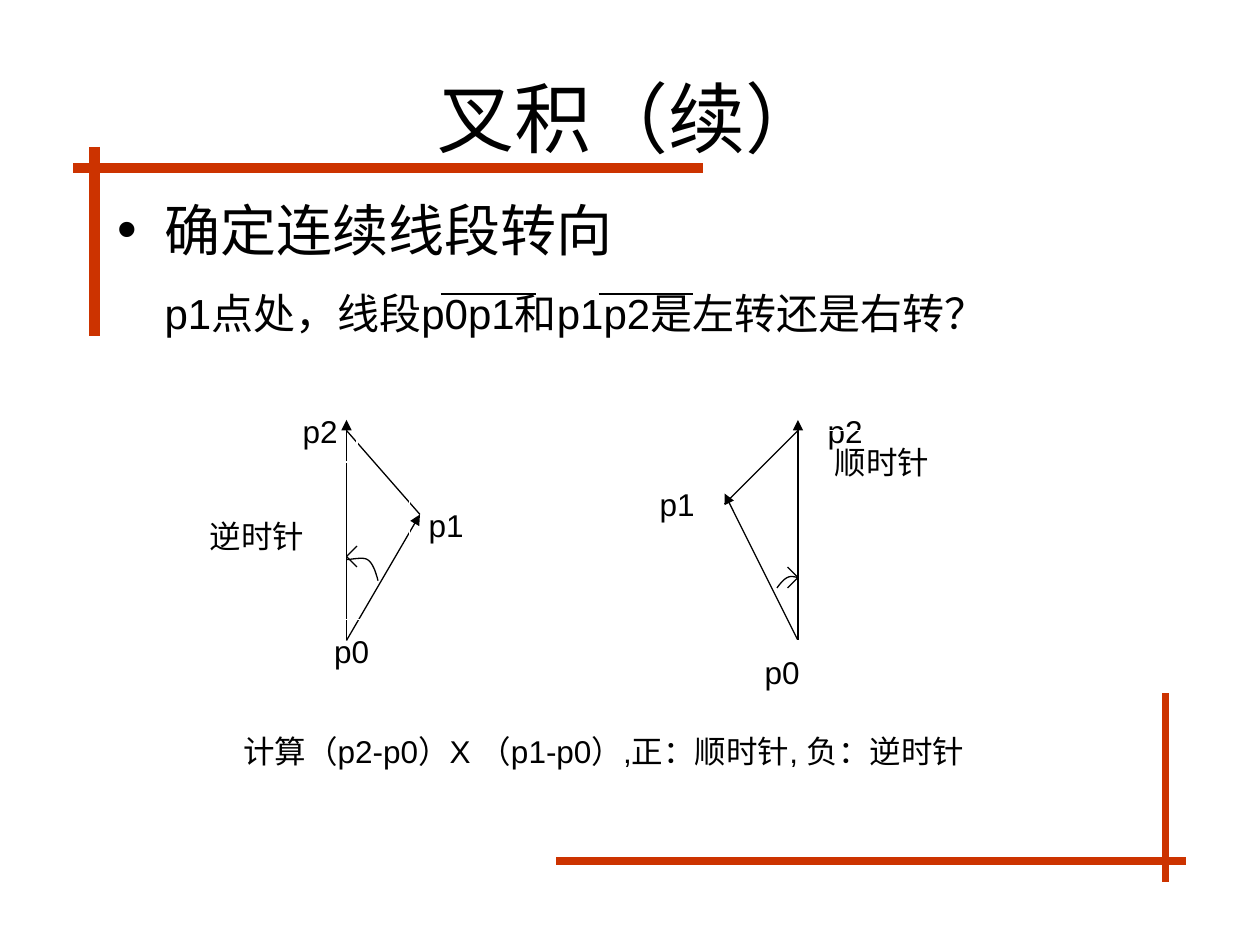
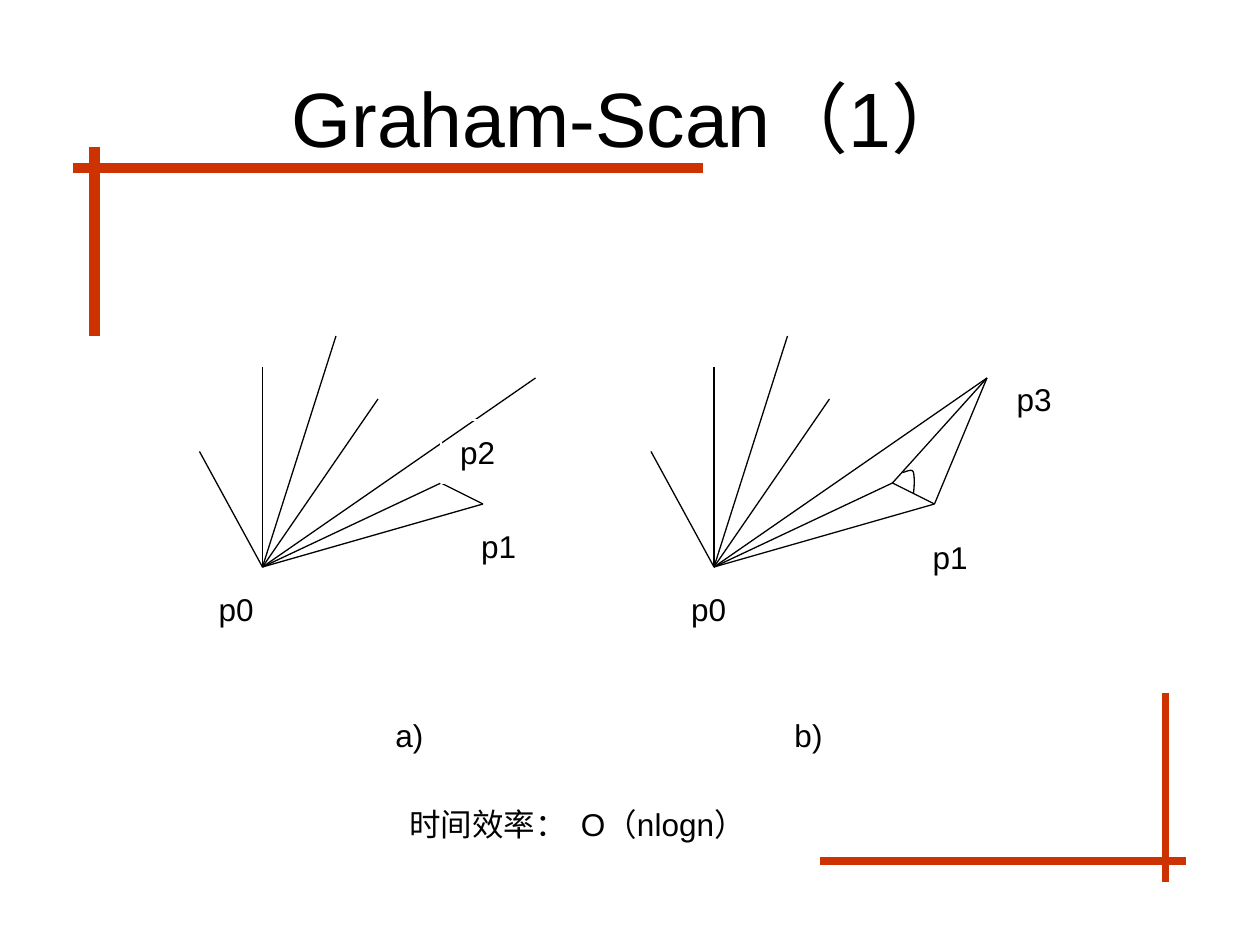
from lxml.etree import SubElement
from pptx import Presentation
from pptx.dml.color import RGBColor
from pptx.enum.shapes import MSO_CONNECTOR, MSO_SHAPE
from pptx.enum.text import MSO_ANCHOR, PP_ALIGN
from pptx.oxml.ns import qn
from pptx.util import Emu, Inches, Pt

# Shared look
BLACK = RGBColor(0x00, 0x00, 0x00)
WHITE = RGBColor(0xFF, 0xFF, 0xFF)
RED = RGBColor(0xCC, 0x33, 0x00)
FONT = "Arial"
THIN = 0.75
UNIT = Inches(1) // 12  # every length below counts twelfths of an inch
SLIDE_SIZE = (120, 90)
TITLE_BOX = (6, 3.6, 108, 15)
BODY_BOX = (10, 18, 108, 59.4)
HANGING = 4.5
BANDS = [  # start, end, width in points
    ((7, 16), (67, 16), 6),
    ((53, 82), (113, 82), 4.5),
    ((9, 14), (9, 32), 6),
    ((111, 66), (111, 84), 4.5),
]
LABEL_SIZE = (7, 6)

# Slide 1: turning direction
TURN = {
    "title": "叉积（续）",
    "body": [  # text, size, space before, bullet
        ("确定连续线段转向", 32, 8, "•"),
        ("p1点处，线段p0p1和p1p2是左转还是右转？", 24, 14.5, None),
    ],
    "arrows": [
        ((33, 61), (33, 40)), ((33, 61), (40, 49)),
        ((76, 61), (76, 40)), ((76, 61), (69, 47)),
    ],
    "lines": [
        ((33, 41), (40, 49)), ((76, 41), (69, 48)),  # third sides
        ((33, 53), (34, 52)), ((33, 53), (34, 54)),  # left arc head
        ((75, 54), (76, 55)), ((75, 56), (76, 55)),  # right arc head
        ((42, 28), (51, 28)), ((57, 28), (66, 28)),  # bars over p0p1 and p1p2
    ],
    "arcs": [  # start, then two control points and an end per curve
        [(36, 55.3), (35.8, 54.5), (35.5, 53.6), (35, 53.3),
         (34.6, 53), (33.4, 53.3), (33, 53.3)],
        [(74, 56), (74.3, 55.6), (74.6, 55.2), (75, 55),
         (75.4, 54.8), (75.8, 55), (76, 55)],
    ],
    "labels": [  # text, position, optional size
        ("p1", (39, 47)), ("p0", (30, 59)), ("p2", (27, 38)),
        ("逆时针", (18, 48), (13, 6)),
        ("p1", (61, 45)), ("p0", (71, 61)), ("p2", (77, 38)),
        ("顺时针", (77, 41), (14, 6)),
        ("计算（p2-p0）X （p1-p0）,正：顺时针, 负：逆时针", (17, 69), (81, 5)),
    ],
}

# Slide 2: two stages of the scan, the second one a fixed step to the right
ORIGIN = (25, 54)
FAN = [(19, 43), (46, 48), (42, 46), (51, 36), (32, 32), (36, 38), (25, 35)]
STAGE_STEP = 43
P1, P2, P3 = [(x + STAGE_STEP, y) for x, y in FAN[1:4]]
SCAN = {
    "title": "Graham-Scan（1）",
    "lines": [
        ((ORIGIN[0] + shift, ORIGIN[1]), (x + shift, y))
        for shift in (0, STAGE_STEP) for x, y in FAN
    ] + [(FAN[1], FAN[2]), (P1, P3), (P2, P1), (P2, P3)],
    "arcs": [
        [(87, 47), (87.1, 46.2), (87.1, 45.4), (87, 45),
         (86.9, 44.6), (86.4, 44.9), (86, 45)],
    ],
    "labels": [
        ("p0", (19, 55)), ("p1", (44, 49)), ("p2", (42, 40)),
        ("p0", (64, 55)), ("p1", (87, 50)), ("p3", (95, 35)),
    ],
    "captions": [
        ("a)", (35, 67), (8, 6)), ("b)", (73, 67), (8, 6)),
        ("时间效率：  O（nlogn）", (32, 74), (46, 9)),
    ],
}


def grid(*values):
    return [Emu(round(value * UNIT)) for value in values]


def write(para, text, size):
    span = para.add_run()
    span.text = text
    for name, value in {"name": FONT, "size": Pt(size)}.items():
        setattr(span.font, name, value)
    span.font.color.rgb = BLACK


def add_line(page, start, end, color=BLACK, width=THIN, arrow=False):
    line = page.shapes.add_connector(MSO_CONNECTOR.STRAIGHT, *grid(*start, *end))
    line.line.color.rgb = color
    line.line.width = Pt(width)
    properties = line._element.spPr
    if arrow:
        SubElement(properties.find(qn("a:ln")), qn("a:tailEnd"), type="triangle")
    SubElement(properties, qn("a:effectLst"))


def add_arc(page, points, steps=8):
    """Trace joined cubic curves with short segments."""
    trail = []
    for first in range(0, len(points) - 1, 3):
        curve = points[first:first + 4]
        for step in range(1, steps + 1):
            t = step / steps
            weights = ((1 - t) ** 3, 3 * t * (1 - t) ** 2, 3 * t * t * (1 - t), t ** 3)
            trail.append(grid(*(sum(w * p[axis] for w, p in zip(weights, curve))
                                for axis in (0, 1))))
    builder = page.shapes.build_freeform(*grid(*points[0]))
    builder.add_line_segments(trail, close=False)
    arc = builder.convert_to_shape()
    arc.shadow.inherit = False
    arc.fill.background()
    arc.line.color.rgb = BLACK
    arc.line.width = Pt(THIN)


def add_label(page, text, position, size=LABEL_SIZE, filled=False):
    label = page.shapes.add_shape(MSO_SHAPE.RECTANGLE, *grid(*position, *size))
    label.shadow.inherit = False
    if filled:
        label.fill.solid()
        label.fill.fore_color.rgb = WHITE
    else:
        label.fill.background()
    label.line.color.rgb = WHITE
    label.line.width = Pt(THIN)
    frame = label.text_frame
    frame.word_wrap = False
    frame.vertical_anchor = MSO_ANCHOR.MIDDLE
    para = frame.paragraphs[0]
    para.alignment = PP_ALIGN.CENTER
    write(para, text, 18)


def add_title(page, text):
    frame = page.shapes.add_textbox(*grid(*TITLE_BOX)).text_frame
    frame.word_wrap = True
    frame.vertical_anchor = MSO_ANCHOR.MIDDLE
    para = frame.paragraphs[0]
    para.alignment = PP_ALIGN.CENTER
    write(para, text, 44)


def add_body(page, items):
    frame = page.shapes.add_textbox(*grid(*BODY_BOX)).text_frame
    frame.word_wrap = True
    for index, (text, size, before, bullet) in enumerate(items):
        para = frame.add_paragraph() if index else frame.paragraphs[0]
        para.space_before = Pt(before)
        indent, = grid(HANGING)
        properties = para._p.get_or_add_pPr()
        properties.set("marL", str(indent))
        properties.set("indent", str(-indent if bullet else 0))
        if bullet:
            SubElement(properties, qn("a:buFont"), typeface=FONT)
            SubElement(properties, qn("a:buChar"), char=bullet)
        write(para, text, size)


def add_page(deck, content):
    page = deck.slides.add_slide(deck.slide_layouts[6])
    for start, end, width in BANDS:
        add_line(page, start, end, RED, width)
    add_title(page, content["title"])
    if "body" in content:
        add_body(page, content["body"])
    for kind in ("arrows", "lines"):
        for start, end in content.get(kind, []):
            add_line(page, start, end, arrow=kind == "arrows")
    for points in content["arcs"]:
        add_arc(page, points)
    for kind in ("labels", "captions"):
        for label in content.get(kind, []):
            add_label(page, *label, filled=kind == "captions")


def main():
    deck = Presentation()
    deck.slide_width, deck.slide_height = grid(*SLIDE_SIZE)
    for content in (TURN, SCAN):
        add_page(deck, content)
    deck.save("out.pptx")


if __name__ == "__main__":
    main()
